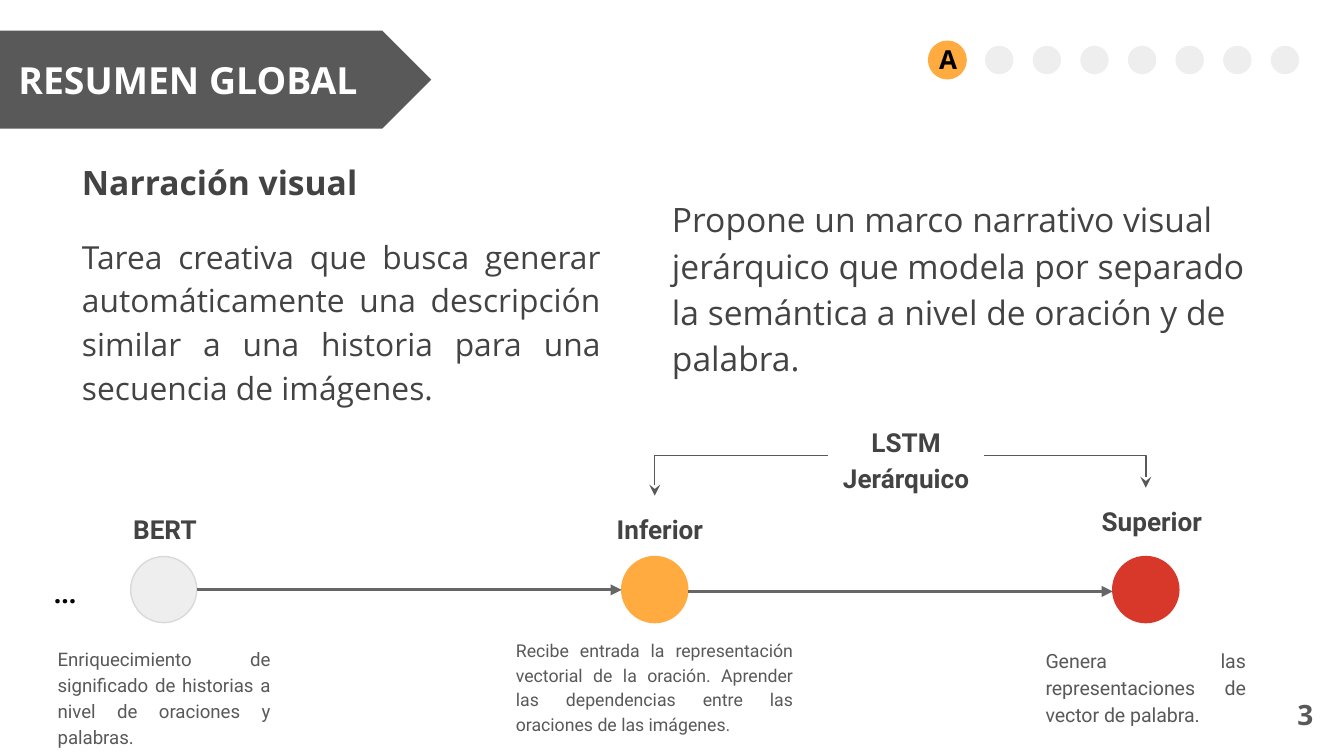
from pptx import Presentation
from pptx.dml.color import RGBColor
from pptx.enum.shapes import MSO_CONNECTOR as Link, MSO_SHAPE as Form
from pptx.enum.text import MSO_ANCHOR as Anchor, PP_ALIGN as Align
from pptx.oxml.ns import qn
from pptx.oxml.xmlchemy import OxmlElement as Node
from pptx.util import Cm, Pt

DARK, GREY, AMBER, PALE = "434343", "595959", "FFAB40", "EEEEEE"
SANS, ROBOTO = "Open Sans", "Roboto"
STAGES = [
    ("BERT", PALE, "D9D9D9", (-0.25, 9.37, 1.75), (-1.63, 11.94, 4.52, 2.41), 10,
     "Enriquecimiento de significado de historias a nivel de oraciones y palabras."),
    ("Inferior", AMBER, AMBER, (-0.55, 9.37, 2.34), (-2.25, 11.79, 5.74, 2.31), 9.5,
     "Recibe entrada la representación vectorial de la oración. "
     "Aprender las dependencias entre las oraciones de las imágenes."),
    ("Superior", "D83829", "D83829", (-0.68, 9.22, 2.62), (-1.52, 11.96, 4.29, 2.01), 10.5,
     "Genera las representaciones de vector de palabra."),
]


def color(code):
    """Turn a hex string into a colour."""
    return RGBColor.from_string(code)


def style(para, font, size, code, bold=False, align=Align.LEFT, line=None, after=None):
    """Format a paragraph and its runs."""
    para.alignment = align
    if line:
        para.line_spacing = line
    if after:
        para.space_after = Pt(after)
    for run in para.runs:
        run.font.name, run.font.size, run.font.bold = font, Pt(size), bold
        run.font.color.rgb = color(code)


def pad(frame, anchor=Anchor.TOP):
    """Set even insets, wrapping and anchor."""
    frame.word_wrap, frame.vertical_anchor = True, anchor
    frame.margin_left = frame.margin_right = Cm(0.25)
    frame.margin_top = frame.margin_bottom = Cm(0.25)


def text(slide, box, words, *look, anchor=Anchor.TOP, **more):
    """Add a text box with one formatted paragraph."""
    frame = slide.shapes.add_textbox(*map(Cm, box)).text_frame
    pad(frame, anchor)
    frame.text = words
    style(frame.paragraphs[0], *look, **more)
    return frame


def shape(slide, form, box, fill, edge=None):
    """Add a filled preset shape."""
    item = slide.shapes.add_shape(form, *map(Cm, box))
    item.shadow.inherit = False
    item.fill.solid()
    item.fill.fore_color.rgb = color(fill)
    if edge:
        item.line.color.rgb = color(edge)
        item.line.width = Pt(0.75)
    else:
        item.line.fill.background()
    return item


def arrow(slide, kind, ends, code, width, head):
    """Add a straight or one-bend arrow."""
    link = slide.shapes.add_connector(kind, *map(Cm, ends))
    link.line.color.rgb = color(code)
    link.line.width = Pt(width)
    tip = Node("a:tailEnd")
    tip.set("type", head)
    link.line._get_or_add_ln().append(tip)
    props = link._element.spPr
    props.append(Node("a:effectLst"))
    if kind == Link.ELBOW:
        props.find(qn("a:prstGeom")).set("prst", "bentConnector2")


def header(slide, box):
    """Draw the title banner."""
    banner = shape(slide, Form.CHEVRON, box, GREY)
    pad(banner.text_frame, Anchor.MIDDLE)
    banner.text_frame.text = "RESUMEN GLOBAL"
    style(banner.text_frame.paragraphs[0], SANS, 20, "FFFFFF", True, Align.CENTER)


def progress(slide, box):
    """Draw the section marker and the remaining dots."""
    left, top, width, height = box
    size, step = 0.51, 0.9
    for i in range(7):
        spot = (left + width - size - (6 - i) * step, top + 0.1, size, size)
        shape(slide, Form.OVAL, spot, PALE, PALE)
    shape(slide, Form.OVAL, (left, top, height, height), AMBER, AMBER)
    text(slide, (left - 0.05, top - 0.2, 0.81, 1.09), "A", SANS, 14, "000000", True)


def summary(slide, box):
    """Write the two columns of the summary."""
    left, top, width, height = box
    frame = text(slide, (left, top, 10.31, height), "Narración visual",
                 SANS, 18, DARK, True, Align.JUSTIFY, 1.15)
    task = frame.add_paragraph()
    task.text = ("Tarea creativa que busca generar automáticamente una descripción "
                 "similar a una historia para una secuencia de imágenes.")
    task.space_before = Pt(16)
    style(task, SANS, 17, DARK, False, Align.JUSTIFY, 1.15, 16)
    text(slide, (left + width - 11.89, top + 0.71, 11.89, 3.61),
         "Propone un marco narrativo visual jerárquico que modela por separado "
         "la semántica a nivel de oración y de palabra.",
         SANS, 18, DARK, line=1.15, after=16)


def stage(slide, box, data):
    """Draw one model stage with its label and note."""
    name, fill, edge, (shift, high, wide), (dx, top, width, height), size, note = data
    left = box[0]
    shape(slide, Form.OVAL, box, fill, edge)
    text(slide, (left + shift, high, wide, 1.12), name,
         ROBOTO, 14, DARK, True, Align.RIGHT, 1.15, 16)
    text(slide, (left + dx, top, width, height), note,
         ROBOTO, size, GREY, False, Align.JUSTIFY, 1.15, 16)


def flow(slide, box):
    """Draw the chain of stages and the bracket above the last two."""
    left, top, width, size = box
    step = (width - size) / 2
    spots = [left + i * step for i in range(3)]
    mids = [spot + size / 2 for spot in spots]
    for spot, data in zip(spots, STAGES):
        stage(slide, (spot, top, size, size), data)
    for start, end, drop in zip(spots, spots[1:], (0.63, 0.66)):
        arrow(slide, Link.STRAIGHT, (start + size, top + drop, end, top + drop),
              "666666", 1.5, "triangle")
    text(slide, (15.65, 7.72, 2.95, 1.8), "LSTM Jerárquico",
         ROBOTO, 14, DARK, True, Align.CENTER, 1.15, 16)
    for start, end, foot in ((15.65, mids[1], 9.37), (18.6, mids[2], 9.22)):
        arrow(slide, Link.ELBOW, (start, 8.61, end, foot), GREY, 0.75, "stealth")
    text(slide, (left - 1.7, top + 0.15, 1.42, 1.12), "...", SANS, 14, "000000", True)


def main():
    """Build and save the slide."""
    deck = Presentation()
    deck.slide_width, deck.slide_height = Cm(25.4), Cm(14.29)
    slide = deck.slides.add_slide(deck.slide_layouts[6])
    summary(slide, (1.3, 2.69, 23.04, 4.75))
    header(slide, (-1.04, 0.58, 9.19, 1.85))
    flow(slide, (2.47, 10.52, 19.81, 1.25))
    progress(slide, (17.55, 0.78, 6.99, 0.71))
    text(slide, (23.55, 12.95, 1.52, 1.09), "3", SANS, 15, GREY, True, Align.RIGHT,
         anchor=Anchor.MIDDLE)
    deck.save("out.pptx")


if __name__ == "__main__":
    main()
